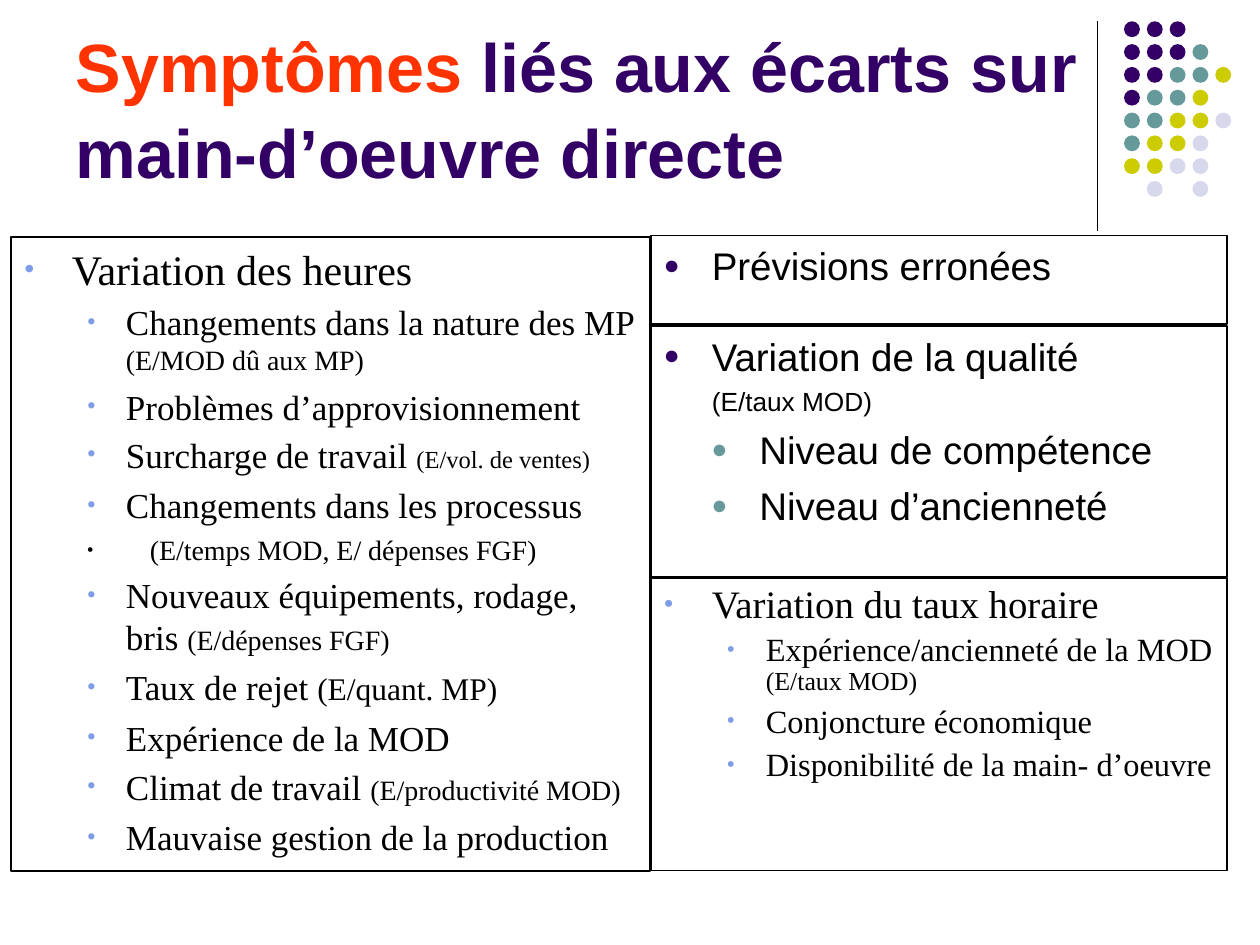
from lxml import etree
from pptx import Presentation
from pptx.dml.color import RGBColor
from pptx.enum import shapes, text
from pptx.oxml import ns
from pptx.util import Cm, Pt

HUES = {"ink": "000000", "plum": "330066", "teal": "669999", "lime": "CCCC00",
        "mist": "D8D8EC", "red": "FF3300", "blue": "7E9CE8", "gray": "808080"}
DOTS = ["PPP", "PPPT", "PPTTL", "PTTL", "TTLLM", "TLLM", "LLMM", " M M"]
KEYS = {"P": "plum", "T": "teal", "L": "lime", "M": "mist"}

# Paragraph styles: left, indent, bullet, bullet hue, bullet size %
LOOKS = {
    "head": (0.97, -0.97, "•", "blue", 75),
    "item": (2.06, -0.79, "•", "blue", 75),
    "note": (2.06, -0.79, "•", "ink", 70),
    "main": (0.97, -0.97, "●", "plum", 70),
    "sub": (1.93, -0.97, "●", "teal", 70),
    "plain": (0.97, 0, None, None, None),
}

# Rows: style, space before, then text and size of each run
HOURS = [
    ("head", 0, ("Variation des heures", 24)),
    ("item", 4, ("Changements dans la nature des MP ", 20), ("(E/MOD dû aux MP)", 16)),
    ("item", 5, ("Problèmes d’approvisionnement", 20)),
    ("item", 3.5, ("Surcharge de travail ", 20), ("(E/vol. de ventes)", 14)),
    ("item", 5, ("Changements dans les processus", 20)),
    ("note", 4, ("\t(E/temps MOD, E/ dépenses FGF)", 16)),
    ("item", 4, ("Nouveaux équipements, rodage, bris ", 20), ("(E/dépenses FGF)", 16)),
    ("item", 4.5, ("Taux de rejet ", 20), ("(E/quant. MP)", 18)),
    ("item", 5, ("Expérience de la MOD", 20)),
    ("item", 4, ("Climat de travail ", 20), ("(E/productivité MOD)", 16)),
    ("item", 5, ("Mauvaise gestion de la production", 20)),
]
PLANS = [("main", 0, ("Prévisions erronées", 22))]
SKILL = [
    ("main", 0, ("Variation de la qualité", 22)),
    ("plain", 3.7, ("(E/taux MOD)", 15)),
    ("sub", 5.5, ("Niveau de compétence", 22)),
    ("sub", 5.5, ("Niveau d’ancienneté", 22)),
]
RATES = [
    ("head", 0, ("Variation du taux horaire", 22.2)),
    ("item", 4, ("Expérience/ancienneté de la MOD ", 18.5), ("(E/taux MOD)", 14.8)),
    ("item", 5, ("Conjoncture économique", 18.5)),
    ("item", 5, ("Disponibilité de la main- d’oeuvre", 18.5)),
]


def hue(name):
    return RGBColor.from_string(HUES[name])


def node(base, tag, **attrs):
    return etree.SubElement(base, ns.qn("a:" + tag), attrs)


def style(para, look, face):
    """Set indents, bullet and tab stop of one paragraph."""
    left, first, mark, tint, size = LOOKS[look]
    props = para._p.get_or_add_pPr()
    props.set("marL", str(Cm(left)))
    props.set("indent", str(Cm(first)))
    if mark:
        node(node(props, "buClr"), "srgbClr", val=HUES[tint])
        node(props, "buSzPct", val=str(size * 1000))
        node(props, "buFont", typeface=face)
        node(props, "buChar", char=mark)
    else:
        node(props, "buNone")
    node(node(props, "tabLst"), "tab", pos=str(Cm(2.54)), algn="l")


def panel(slide, box, rows, face, lead=None):
    """Framed list of bulleted rows."""
    shape = slide.shapes.add_textbox(*map(Cm, box))
    shape.line.color.rgb = hue("ink")
    shape.line.width = Pt(1)
    frame = shape.text_frame
    frame.word_wrap = True
    for num, (look, gap, *runs) in enumerate(rows):
        para = frame.add_paragraph() if num else frame.paragraphs[0]
        style(para, look, face)
        para.space_before = Pt(gap)
        if lead:
            para.line_spacing = lead
        font = para.font
        font.name, font.size = face, Pt(runs[0][1])
        font.color.rgb = hue("ink")
        for words, size in runs:
            run = para.add_run()
            run.text = words
            if size != runs[0][1]:
                run.font.size = Pt(size)


def title(slide, box):
    """Two-colour heading with a soft text shadow."""
    shape = slide.shapes.title
    shape.left, shape.top, shape.width, shape.height = map(Cm, box)
    frame = shape.text_frame
    frame.word_wrap = True
    frame.auto_size = text.MSO_AUTO_SIZE.NONE
    frame.vertical_anchor = text.MSO_ANCHOR.MIDDLE
    para = frame.paragraphs[0]
    para.alignment = text.PP_ALIGN.LEFT
    para.line_spacing = 1.05
    para.font.name, para.font.size, para.font.bold = "Arial", Pt(39), True
    for words, tint in (("Symptômes", "red"),
                        (" liés aux écarts sur main-d’oeuvre directe", "plum")):
        run = para.add_run()
        run.text = words
        run.font.color.rgb = hue(tint)
        cast = node(node(run._r.get_or_add_rPr(), "effectLst"), "outerShdw",
                    dist="25400", dir="2700000")
        node(cast, "srgbClr", val=HUES["gray"])


def motif(slide, left, top):
    """Vertical rule with the grid of dots to its right."""
    rule = slide.shapes.add_connector(
        shapes.MSO_CONNECTOR.STRAIGHT, Cm(left), Cm(top), Cm(left), Cm(top + 4.22))
    rule.line.color.rgb = hue("ink")
    rule.line.width = Pt(0.75)
    node(rule._element.spPr, "effectLst")
    pitch, size = 0.46, 0.32
    for row, line in enumerate(DOTS):
        for col, key in enumerate(line):
            if key == " ":
                continue
            dot = slide.shapes.add_shape(
                shapes.MSO_SHAPE.OVAL, Cm(left + 0.54 + col * pitch),
                Cm(top + row * pitch), Cm(size), Cm(size))
            dot.shadow.inherit = False
            dot.fill.solid()
            dot.fill.fore_color.rgb = hue(KEYS[key])
            dot.line.fill.background()


def main():
    deck = Presentation()
    deck.slide_width, deck.slide_height = Cm(25.4), Cm(19.05)
    slide = deck.slides.add_slide(deck.slide_layouts[5])
    motif(slide, 22.12, 0.43)
    title(slide, (1.27, 0.33, 20.96, 3.61))
    # Right column
    left, wide = 13.13, 11.61
    panel(slide, (left, 4.75, wide, 1.78), PLANS, "Arial")
    panel(slide, (left, 6.58, wide, 5.05), SKILL, "Arial")
    panel(slide, (left, 11.66, wide, 5.89), RATES, "Times New Roman", 0.9)
    # Left column
    panel(slide, (0.23, 4.78, 12.88, 12.78), HOURS, "Times New Roman")
    deck.save("out.pptx")


if __name__ == "__main__":
    main()
